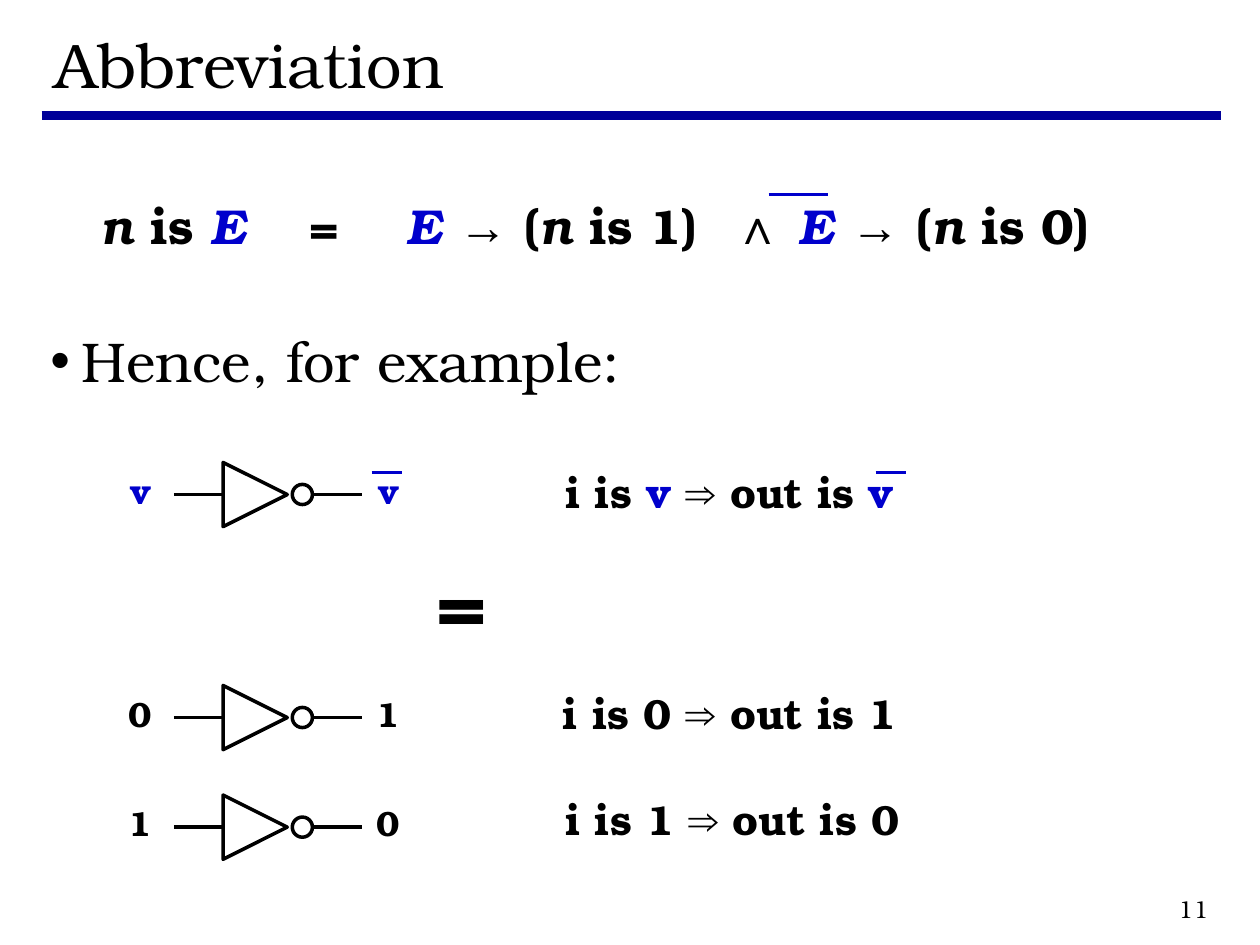
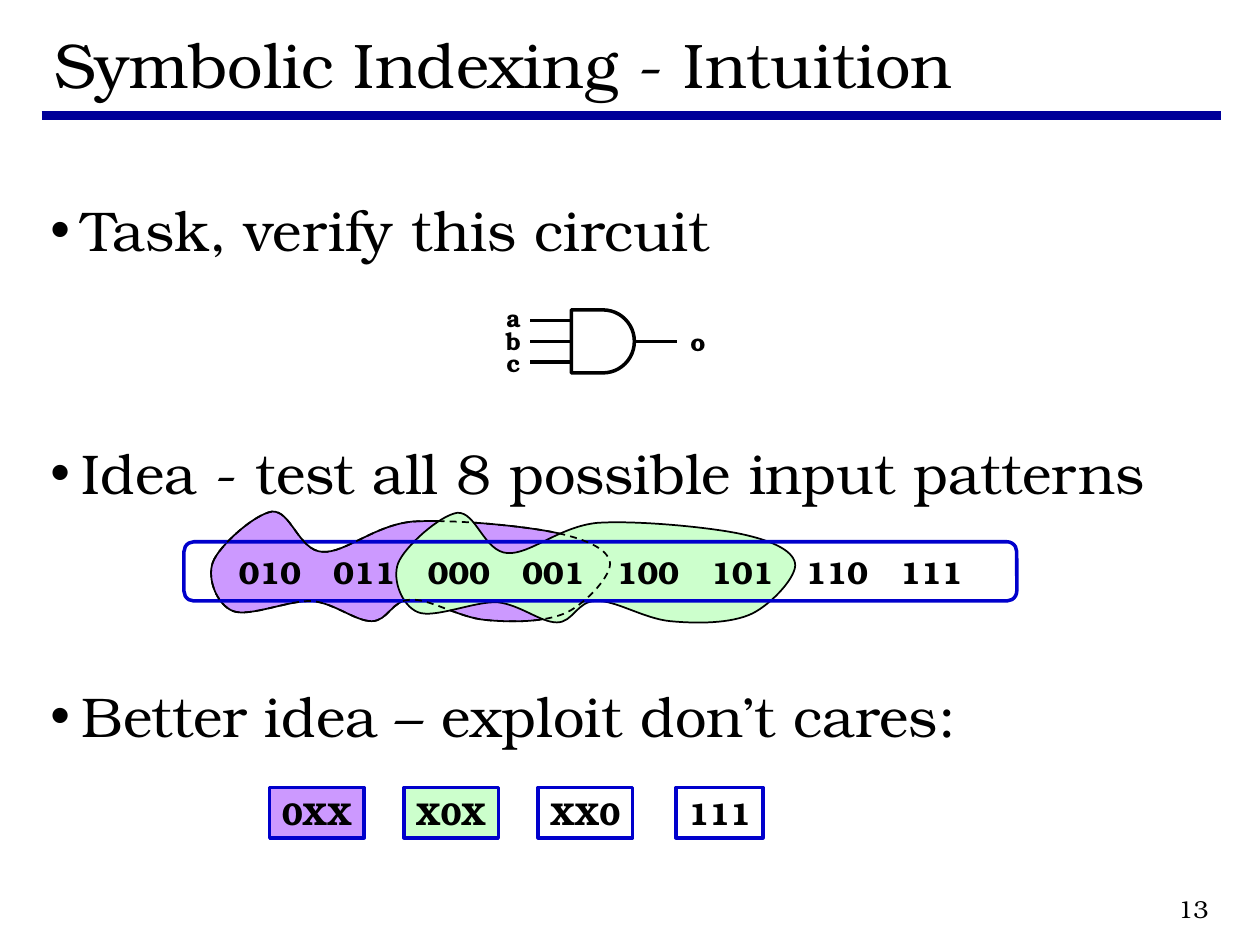
from itertools import groupby

from lxml import etree
from pptx import Presentation
from pptx import util as u
from pptx.dml.color import RGBColor
from pptx.enum import dml, shapes, text
from pptx.oxml.ns import qn

# Lengths are cells of a grid of 100 columns by 75 rows.
COLS, ROWS = 100, 75
WIDTH, HEIGHT = u.Inches(10), u.Inches(7.5)
CELL = WIDTH // COLS

FONT, SYMBOL_FONT, SYMBOLS = "TeX Gyre Bonum", "Arial", "→∧⇒"
BLACK, NAVY, BLUE = "000000", "000099", "0000CC"
PURPLE, GREEN = "CC99FF", "CCFFCC"
LEFT, CENTER, RIGHT = (text.PP_ALIGN.LEFT, text.PP_ALIGN.CENTER,
                       text.PP_ALIGN.RIGHT)
SHAPE = shapes.MSO_SHAPE
VAR = {"color": BLUE}
ITALIC = {"italic": True}
VAR_ITALIC = {**VAR, **ITALIC}

# Blob outline in hundredths of an inch: a start, then Bézier triples.
BLOB_START = (5, 41)
BLOB_CURVES = [
    ((10, 28), (38, 3), (52, 1)), ((67, 0), (73, 32), (92, 33)),
    ((110, 34), (133, 12), (163, 9)), ((193, 7), (247, 12), (273, 17)),
    ((299, 22), (318, 30), (320, 41)), ((322, 51), (302, 73), (286, 81)),
    ((269, 89), (242, 89), (221, 87)), ((200, 85), (177, 70), (162, 71)),
    ((147, 71), (144, 88), (131, 88)), ((118, 88), (102, 74), (84, 72)),
    ((66, 71), (34, 85), (21, 80)), ((8, 75), (0, 54), BLOB_START),
]


def cells(*lengths):
    return [u.Emu(round(n * CELL)) for n in lengths]


def rgb(color):
    return RGBColor.from_string(color)


def write(p, pieces, size, align=LEFT, before=0, **base):
    """Fill a paragraph from a string or (text, format) pairs."""
    p.alignment, p.space_before = align, u.Pt(before)
    if isinstance(pieces, str):
        pieces = [(pieces, {})]
    for words, extra in pieces:
        for symbol, chars in groupby(words, lambda c: c in SYMBOLS):
            r = p.add_run()
            r.text = "".join(chars)
            values = {"bold": False, "italic": False, **base, **extra,
                      "size": u.Pt(size),
                      "name": SYMBOL_FONT if symbol else FONT}
            r.font.color.rgb = rgb(values.pop("color", BLACK))
            for name, value in values.items():
                setattr(r.font, name, value)


def set_tabs(p, stops):
    tabs = etree.SubElement(p._p.get_or_add_pPr(), qn("a:tabLst"))
    for stop in stops:
        tab = etree.SubElement(tabs, qn("a:tab"))
        tab.set("pos", str(u.Inches(stop)))
        tab.set("algn", "l")


def add_text(s, box, pieces, size, align=LEFT, bold=True, anchor="TOP", **fmt):
    tf = s.shapes.add_textbox(*cells(*box)).text_frame
    tf.word_wrap = True
    tf.vertical_anchor = text.MSO_ANCHOR[anchor]
    write(tf.paragraphs[0], pieces, size, align, bold=bold, **fmt)
    return tf.paragraphs[0]


def add_line(s, x1, y1, x2, y2, color=BLACK, width=2):
    line = s.shapes.add_connector(shapes.MSO_CONNECTOR.STRAIGHT,
                                  *cells(x1, y1, x2, y2))
    line.line.color.rgb, line.line.width = rgb(color), u.Pt(width)
    etree.SubElement(line._element.spPr, qn("a:effectLst"))
    return line


def paint(sp, fill=None, color=BLACK, width=2):
    sp.shadow.inherit = False
    if fill:
        sp.fill.solid()
        sp.fill.fore_color.rgb = rgb(fill)
    else:
        sp.fill.background()
    sp.line.color.rgb, sp.line.width = rgb(color), u.Pt(width)
    return sp


def add_shape(s, kind, box, **look):
    return paint(s.shapes.add_shape(kind, *cells(*box)), **look)


def place(sp, box, anchor):
    sp.left, sp.top, sp.width, sp.height = cells(*box)
    tf = sp.text_frame
    tf.auto_size, tf.word_wrap = text.MSO_AUTO_SIZE.NONE, True
    tf.vertical_anchor = text.MSO_ANCHOR[anchor]
    return tf


def new_slide(prs, title, number, bullets, body_top=15, gap=100.5):
    """Add a slide with title, rule, number and a list of bullets."""
    s = prs.slides.add_slide(prs.slide_layouts[1])
    head = place(s.shapes.title, (3.3, 1.7, 93.6, 6.7), "MIDDLE")
    write(head.paragraphs[0], title, 36)
    body = place(s.placeholders[1], (3, body_top, 94, 68.5 - body_top), "TOP")
    for i, words in enumerate(bullets):
        p = body.add_paragraph() if i else body.paragraphs[0]
        write(p, words, 32, before=gap if i else 0)
        pPr = p._p.get_or_add_pPr()
        pPr.set("marL", str(u.Inches(0.25)))
        pPr.set("indent", str(u.Inches(-0.25)))
        color = etree.SubElement(pPr, qn("a:buClr"))
        etree.SubElement(color, qn("a:srgbClr")).set("val", BLACK)
        etree.SubElement(pPr, qn("a:buChar")).set("char", "•")
    add_line(s, 3.3, 9.15, 96.9, 9.15, NAVY, 5)
    add_text(s, (76.1, 70, 20.8, 4.2), number, 14, RIGHT, bold=False,
             anchor="MIDDLE")
    return s


def add_overline(s, x, y, length=2.4):
    add_line(s, x, y, x + length, y, BLUE)


def add_formula(s, x, y):
    """Write the definition of "n is E" with a bar over its second guard."""
    p = add_text(s, (x, y, 90, 5.5), [
        ("n", ITALIC), (" is ", {}), ("E", VAR_ITALIC), ("\t=\t", {}),
        ("E ", VAR_ITALIC), ("→ (", {}), ("n ", ITALIC), ("is 1)\t∧ ", {}),
        ("E ", VAR_ITALIC), ("→ (", {}), ("n ", ITALIC), ("is 0)", {})], 28)
    set_tabs(p, (1.66, 2.43, 5.02))
    add_overline(s, x + 54, y + 0.45, 4.7)


def add_inverter(s, x, y, signal_in, signal_out, color=BLACK):
    """Draw a labelled inverter from the left top corner of its labels."""
    middle = y + 2.55
    gate = add_shape(s, SHAPE.FLOWCHART_EXTRACT, (x + 11.8, y, 5.1, 5.1))
    gate.rotation = 90
    add_shape(s, SHAPE.OVAL, (x + 17.3, middle - 0.8, 1.6, 1.6))
    for start in (7.9, 18.9):
        add_line(s, x + start, middle, x + start + 3.9, middle)
    for left, label in ((0, signal_in), (19.7, signal_out)):
        add_text(s, (x + left, y + 0.05, 7.1, 4.4), label, 20, RIGHT,
                 color=color)


def add_and_gate(s, x, y, inputs, output):
    """Draw an AND gate from the left top corner of its input labels."""
    gate_x, gate_y, side = x + 7.5, y + 1, 5
    gate = add_shape(s, SHAPE.FLOWCHART_DELAY, (gate_x, gate_y, side, side))
    middle = gate_y + side / 2
    for i, label in enumerate(inputs):
        wire_y = middle + (i - 1) * 1.65
        wire = add_line(s, gate_x, wire_y, gate_x - 3.3, wire_y)
        if i == 1:
            wire.begin_connect(gate, 1)
        add_text(s, (x, y + 1.75 * i, 5.8, 3.4), label, 14, CENTER)
    wire = add_line(s, gate_x + side, middle, gate_x + side + 3.4, middle)
    wire.begin_connect(gate, 3)
    add_text(s, (x + 14.2, y + 1.85, 6.7, 3.4), output, 14, CENTER)


def add_blob(s, x, y, fill=None):
    outline = s.shapes.build_freeform(*BLOB_START, scale=u.Inches(0.01))
    outline.add_line_segments([pt for curve in BLOB_CURVES for pt in curve],
                              close=True)
    sp = outline.convert_to_shape(*cells(x, y))
    # Each three line ends become the control points of one curve.
    segments = list(sp._element.iter(qn("a:lnTo")))
    for i in range(0, len(segments), 3):
        curve = etree.Element(qn("a:cubicBezTo"))
        segments[i].addprevious(curve)
        for segment in segments[i:i + 3]:
            curve.append(segment[0])
            segment.getparent().remove(segment)
    return paint(sp, fill, width=1)


def add_patterns(s, x, y):
    """Draw the eight inputs in a frame, with two groups marked by blobs."""
    blob_x, blob_y = x + 1.8, y - 2.5
    add_blob(s, blob_x, blob_y, PURPLE)
    add_blob(s, blob_x + 14.7, blob_y + 0.1, GREEN)
    frame = add_shape(s, SHAPE.ROUNDED_RECTANGLE, (x, y, 66.1, 4.7), color=BLUE)
    frame.adjustments[0] = 0.167
    patterns = ("010", "011", "000", "001", "100", "101", "110", "111")
    p = add_text(s, (x + 3.35, y + 0.4, 62.5, 4), "\t".join(patterns), 18)
    set_tabs(p, [0.75 * i for i in range(1, len(patterns))])
    add_blob(s, blob_x, blob_y).line.dash_style = dml.MSO_LINE.DASH


def add_cubes(s, x, y, pitch=10.65):
    """Draw the boxed patterns, the first one centred on x."""
    cubes = (("0XX", 7.5, PURPLE), ("X0X", 7.5, GREEN),
             ("XX0", 7.5, None), ("111", 6.9, None))
    for i, (label, width, fill) in enumerate(cubes):
        left = x + i * pitch - width / 2
        sp = add_shape(s, SHAPE.RECTANGLE, (left, y, width, 4),
                       fill=fill, color=BLUE)
        tf = sp.text_frame
        tf.word_wrap, tf.vertical_anchor = False, text.MSO_ANCHOR.MIDDLE
        write(tf.paragraphs[0], label, 18, CENTER, bold=True)


def abbreviation_slide(prs):
    s = new_slide(prs, "Abbreviation", "11", ["Hence, for example:"],
                  body_top=25.4)
    add_formula(s, 7, 15)
    add_inverter(s, 5.9, 36.7, "v", "v", BLUE)
    add_overline(s, 29.5, 37.5)
    add_inverter(s, 5.9, 54.4, "0", "1")
    add_inverter(s, 5.9, 63.1, "1", "0")
    add_text(s, (32.7, 43.1, 7.9, 9), "=", 48, CENTER)

    general = [("i is ", {}), ("v ", VAR), ("⇒ out is ", {}), ("v", VAR)]
    for x, y, claim in ((43.9, 36.5, general), (43.7, 54.1, "i is 0 ⇒ out is 1"),
                        (43.9, 62.5, "i is 1 ⇒ out is 0")):
        add_text(s, (x, y, 53.6, 5), claim, 24)
    add_overline(s, 69.5, 37.5)


def indexing_slide(prs):
    s = new_slide(prs, "Symbolic Indexing - Intuition", "13", [
        "Task, verify this circuit",
        "Idea - test all 8 possible input patterns",
        "Better idea – exploit don’t cares:"])
    add_and_gate(s, 37.85, 23.6, "abc", "o")
    add_patterns(s, 14.6, 43)
    add_cubes(s, 25.15, 62.5)


def main():
    prs = Presentation()
    prs.slide_width, prs.slide_height = WIDTH, HEIGHT
    abbreviation_slide(prs)
    indexing_slide(prs)
    prs.save("out.pptx")


if __name__ == "__main__":
    main()
